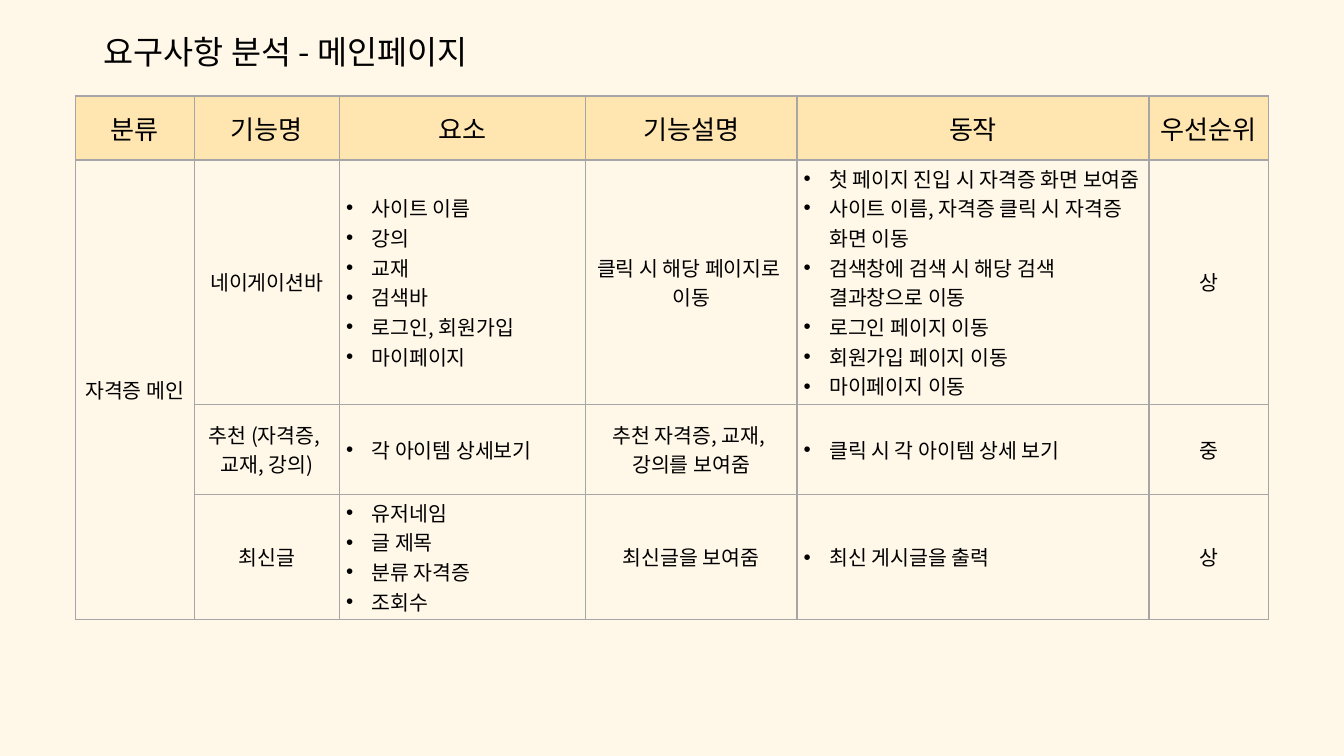
from lxml.etree import SubElement
from pptx import Presentation
from pptx.dml.color import RGBColor
from pptx.enum.text import MSO_ANCHOR as Anchor, PP_ALIGN as Align
from pptx.oxml import parse_xml
from pptx.oxml.ns import nsdecls, qn
from pptx.util import Inches, Pt

FONT = "Noto Sans CJK KR"
COLORS = {"page": "FFF8E9", "header": "FFE6B1", "border": "A6A6A6", "text": "000000"}
BULLETED_COLUMNS = (2, 4)
COLUMN_WIDTHS = [1.77, 2.16, 3.66, 3.15, 5.24, 1.78]
ROW_HEIGHTS = [0.95, 3.18, 1.34, 1.8]
REQUIREMENTS = [
    [["분류"], ["기능명"], ["요소"], ["기능설명"], ["동작"], ["우선순위"]],
    [
        ["자격증 메인"],
        ["네이게이션바"],
        ["사이트 이름", "강의", "교재", "검색바", "로그인, 회원가입", "마이페이지"],
        ["클릭 시 해당 페이지로 ", "이동"],
        [
            "첫 페이지 진입 시 자격증 화면 보여줌",
            "사이트 이름, 자격증 클릭 시 자격증 화면 이동",
            "검색창에 검색 시 해당 검색 결과창으로 이동",
            "로그인 페이지 이동",
            "회원가입 페이지 이동",
            "마이페이지 이동",
        ],
        ["상"],
    ],
    [
        [],
        ["추천 (자격증, ", "교재, 강의)"],
        ["각 아이템 상세보기"],
        ["추천 자격증, 교재, \n강의를 보여줌"],
        ["클릭 시 각 아이템 상세 보기"],
        ["중"],
    ],
    [
        [],
        ["최신글"],
        ["유저네임", "글 제목", "분류 자격증", "조회수"],
        ["최신글을 보여줌"],
        ["최신 게시글을 출력"],
        ["상"],
    ],
]


class SlideBuilder:
    """Holds the style and the current slide."""

    def __init__(self, presentation):
        self.slide = presentation.slides.add_slide(presentation.slide_layouts[6])
        background = self.slide.background.fill
        background.solid()
        background.fore_color.rgb = self.color("page")

    def color(self, name):
        return RGBColor.from_string(COLORS[name])

    def add_text(self, paragraph, text, size):
        for index, line in enumerate(text.split("\n")):
            if index:
                paragraph.add_line_break()
            run = paragraph.add_run()
            run.text = line
            run.font.size = Pt(size)
            run.font.name = FONT
            run.font.color.rgb = self.color("text")
            SubElement(run.font._element, qn("a:ea"), typeface=FONT)

    def bullet(self, paragraph):
        properties = paragraph._p.get_or_add_pPr()
        properties.set("marL", str(Inches(0.38)))
        properties.set("indent", str(-Inches(0.38)))
        SubElement(properties, qn("a:buFont"), typeface="Arial")
        SubElement(properties, qn("a:buChar"), char="•")

    def title(self, text, left, top, width, height):
        frame = self.slide.shapes.add_textbox(
            Inches(left), Inches(top), Inches(width), Inches(height)
        ).text_frame
        frame.word_wrap = True
        frame.margin_left = frame.margin_right = frame.margin_top = frame.margin_bottom = 0
        heading = frame.paragraphs[0]
        heading.alignment = Align.CENTER
        heading.line_spacing = Pt(49)
        self.add_text(heading, text, 35)

    def border(self, cell):
        properties = cell._tc.get_or_add_tcPr()
        for index, side in enumerate("LRTB"):
            properties.insert(index, parse_xml(
                f'<a:ln{side} {nsdecls("a")} w="{Pt(1.5)}"><a:solidFill>'
                f'<a:srgbClr val="{COLORS["border"]}"/></a:solidFill></a:ln{side}>'
            ))

    def cell(self, cell, lines, size, bulleted, header):
        cell.vertical_anchor = Anchor.MIDDLE
        if header:
            cell.fill.solid()
            cell.fill.fore_color.rgb = self.color("header")
        else:
            cell.fill.background()
        self.border(cell)
        frame = cell.text_frame
        for index, line in enumerate(lines):
            paragraph = frame.add_paragraph() if index else frame.paragraphs[0]
            if bulleted:
                self.bullet(paragraph)
            else:
                paragraph.alignment = Align.CENTER
            self.add_text(paragraph, line, size)

    def table(self, rows, left, top, widths, heights):
        table = self.slide.shapes.add_table(
            len(heights), len(widths), Inches(left), Inches(top),
            Inches(sum(widths)), Inches(sum(heights)),
        ).table
        table.first_row = table.horz_banding = False
        for column, width in zip(table.columns, widths):
            column.width = Inches(width)
        for row, height in zip(table.rows, heights):
            row.height = Inches(height)
        for r, row in enumerate(rows):
            for c, lines in enumerate(row):
                header = r == 0
                bulleted = not header and c in BULLETED_COLUMNS
                self.cell(table.cell(r, c), lines, 28 if header else 22, bulleted, header)
        table.cell(1, 0).merge(table.cell(len(rows) - 1, 0))


def main():
    presentation = Presentation()
    presentation.slide_width = Inches(20)
    presentation.slide_height = Inches(11.25)
    builder = SlideBuilder(presentation)
    builder.table(REQUIREMENTS, 1.12, 1.43, COLUMN_WIDTHS, ROW_HEIGHTS)
    builder.title("요구사항 분석 - 메인페이지", 1.26, 0.38, 5.99, 0.65)
    presentation.save("out.pptx")


if __name__ == "__main__":
    main()
